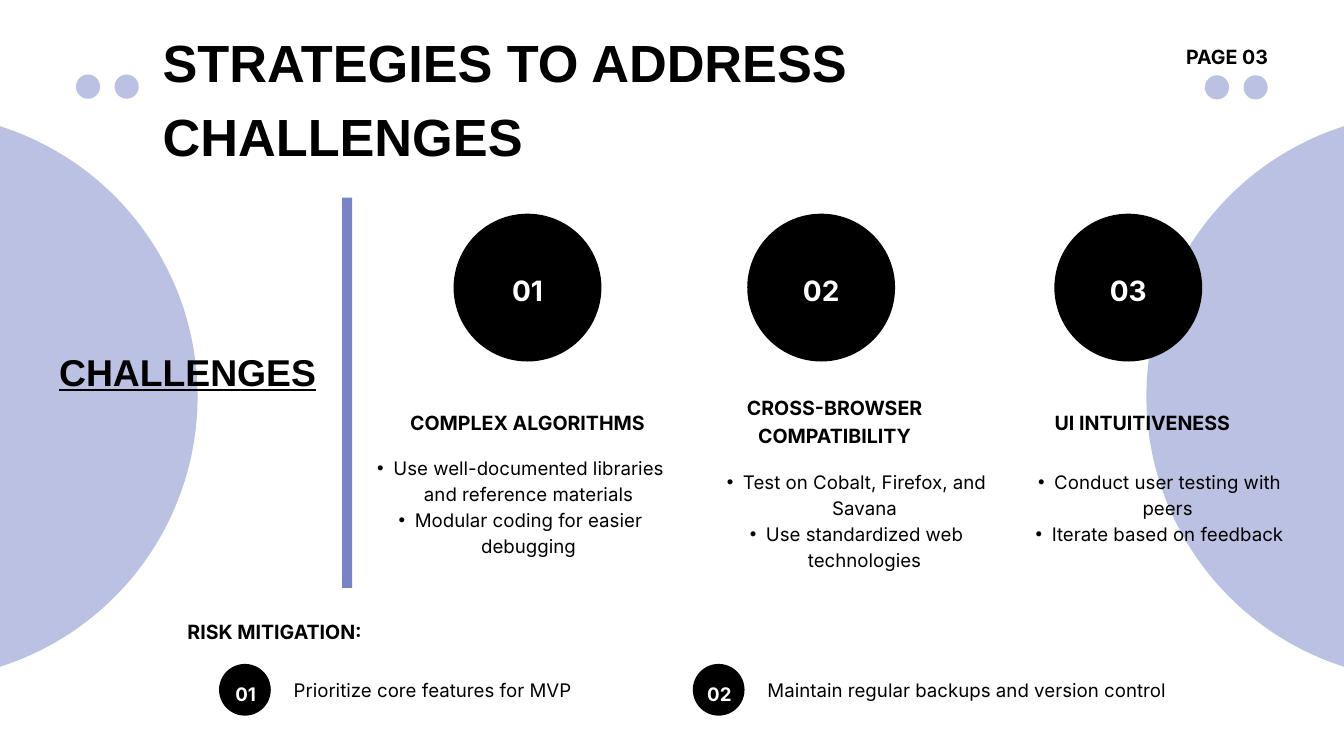
"""Build the slide on strategies to address project challenges."""
from lxml import etree
from pptx import Presentation
from pptx.dml.color import RGBColor
from pptx.enum.shapes import MSO_SHAPE
from pptx.enum.text import MSO_AUTO_SIZE, PP_ALIGN
from pptx.oxml.ns import qn
from pptx.util import Inches, Pt

OVAL, RECT = MSO_SHAPE.OVAL, MSO_SHAPE.RECTANGLE
LEFT, CENTER, RIGHT, JUSTIFY = PP_ALIGN.LEFT, PP_ALIGN.CENTER, PP_ALIGN.RIGHT, PP_ALIGN.JUSTIFY
COLORS = {"accent": "7884C7", "black": "000000", "white": "FFFFFF"}
LINE_FACTOR = 1.4

STRATEGIES = [
    {"number": "01", "center": 7.85, "title": "COMPLEX ALGORITHMS",
     "title_at": (5.83, 6.05, 4.04, 0.39), "list_at": (5.29, 6.74, 4.68, 1.92),
     "points": ["Use well-documented libraries and reference materials",
                "Modular coding for easier debugging"]},
    {"number": "02", "center": 12.22, "title": "CROSS-BROWSER COMPATIBILITY",
     "title_at": (10.4, 5.84, 4.04, 0.8), "list_at": (10.29, 6.95, 4.68, 1.92),
     "points": ["Test on Cobalt, Firefox, and Savana",
                "Use standardized web technologies"]},
    {"number": "03", "center": 16.79, "title": "UI INTUITIVENESS",
     "title_at": (14.98, 6.05, 4.04, 0.39), "list_at": (15.12, 6.95, 4.04, 1.15),
     "points": ["Conduct user testing with peers",
                "Iterate based on feedback"]},
]
MITIGATIONS = [
    ("01", 3.26, "Prioritize core features for MVP"),
    ("02", 10.31, "Maintain regular backups and version control"),
]
SIDE_CIRCLES = [17.06, -5.5]
DOT_PAIRS = [(17.93, 1.12), (1.13, 1.11)]
DOT_STEP = 0.575


def add_block(slide, kind, at, color, alpha=None):
    s = slide.shapes.add_shape(kind, *map(Inches, at))
    s.shadow.inherit = False
    s.fill.solid()
    s.fill.fore_color.rgb = RGBColor.from_string(COLORS[color])
    s.line.fill.background()
    if alpha:
        clr = s._element.spPr.find(".//" + qn("a:srgbClr"))
        etree.SubElement(clr, qn("a:alpha")).set("val", str(alpha * 1000))


def add_bullet(p):
    p.level = 1
    pPr = p._p.get_or_add_pPr()
    pPr.set("marL", str(Inches(0.47)))
    pPr.set("indent", str(Inches(-0.24)))
    etree.SubElement(pPr, qn("a:buFont")).set("typeface", "Arial")
    etree.SubElement(pPr, qn("a:buChar")).set("char", "•")


def add_text(slide, at, lines, size, align=LEFT, font="Inter", color="black",
             bold=True, underline=None, bullets=False):
    tf = slide.shapes.add_textbox(*map(Inches, at)).text_frame
    tf.word_wrap = True
    tf.auto_size = MSO_AUTO_SIZE.SHAPE_TO_FIT_TEXT
    tf.margin_left = tf.margin_top = tf.margin_right = tf.margin_bottom = 0
    for i, line in enumerate(lines):
        p = tf.add_paragraph() if i else tf.paragraphs[0]
        if bullets:
            add_bullet(p)
        p.alignment = align
        p.line_spacing = Pt(size * LINE_FACTOR)
        r = p.add_run()
        r.text = line
        r.font.size = Pt(size)
        r.font.name = font
        r.font.bold = bold
        r.font.underline = underline
        r.font.color.rgb = RGBColor.from_string(COLORS[color])


def add_decoration(slide):
    for x in SIDE_CIRCLES:
        add_block(slide, OVAL, (x, 1.68, 8.44, 8.44), "accent", 50)
    for x, y in DOT_PAIRS:
        for i in range(2):
            add_block(slide, OVAL, (x + i * DOT_STEP, y, 0.36, 0.36), "accent", 50)
    add_block(slide, RECT, (5.09, 2.94, 0.15, 5.81), "accent")


def add_strategy(slide, item):
    x = item["center"]
    add_block(slide, OVAL, (x - 1.1, 3.18, 2.2, 2.2), "black")
    add_text(slide, (x - 0.55, 3.98, 1.1, 0.56), [item["number"]], 30, CENTER, color="white")
    add_text(slide, item["title_at"], [item["title"]], 21, CENTER)
    add_text(slide, item["list_at"], item["points"], 20, CENTER, bold=False, bullets=True)


def add_mitigation(slide, number, x, text):
    add_block(slide, OVAL, (x, 9.88, 0.77, 0.77), "black")
    add_text(slide, (x + 0.2, 10.1, 0.39, 0.38), [number], 20, CENTER, color="white")
    add_text(slide, (x + 1.11, 10.05, 6.65, 0.38), [text], 20, JUSTIFY, bold=False)


def main():
    prs = Presentation()
    prs.slide_width, prs.slide_height = Inches(20), Inches(11.25)
    slide = prs.slides.add_slide(prs.slide_layouts[6])
    add_decoration(slide)
    add_text(slide, (2.42, 0.3, 15.51, 2.12), ["STRATEGIES TO ADDRESS CHALLENGES"], 56, font="Arial")
    add_text(slide, (17.35, 0.61, 1.52, 0.39), ["PAGE 03"], 21, RIGHT)
    add_text(slide, (0.88, 5.08, 3.95, 0.73), ["CHALLENGES"], 40, font="Arial", underline=True)
    for item in STRATEGIES:
        add_strategy(slide, item)
    add_text(slide, (2.79, 9.17, 3.63, 0.39), ["RISK MITIGATION:"], 21)
    for number, x, text in MITIGATIONS:
        add_mitigation(slide, number, x, text)
    prs.save("out.pptx")


if __name__ == "__main__":
    main()
